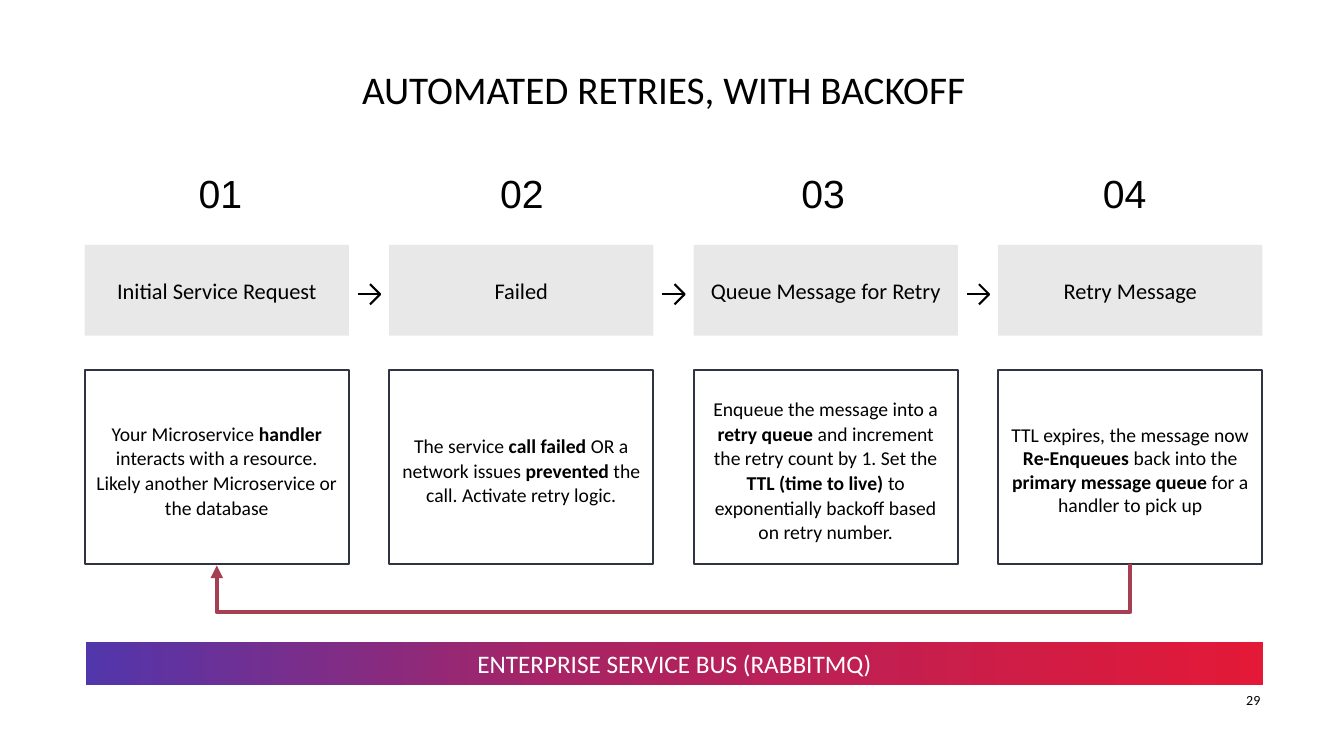
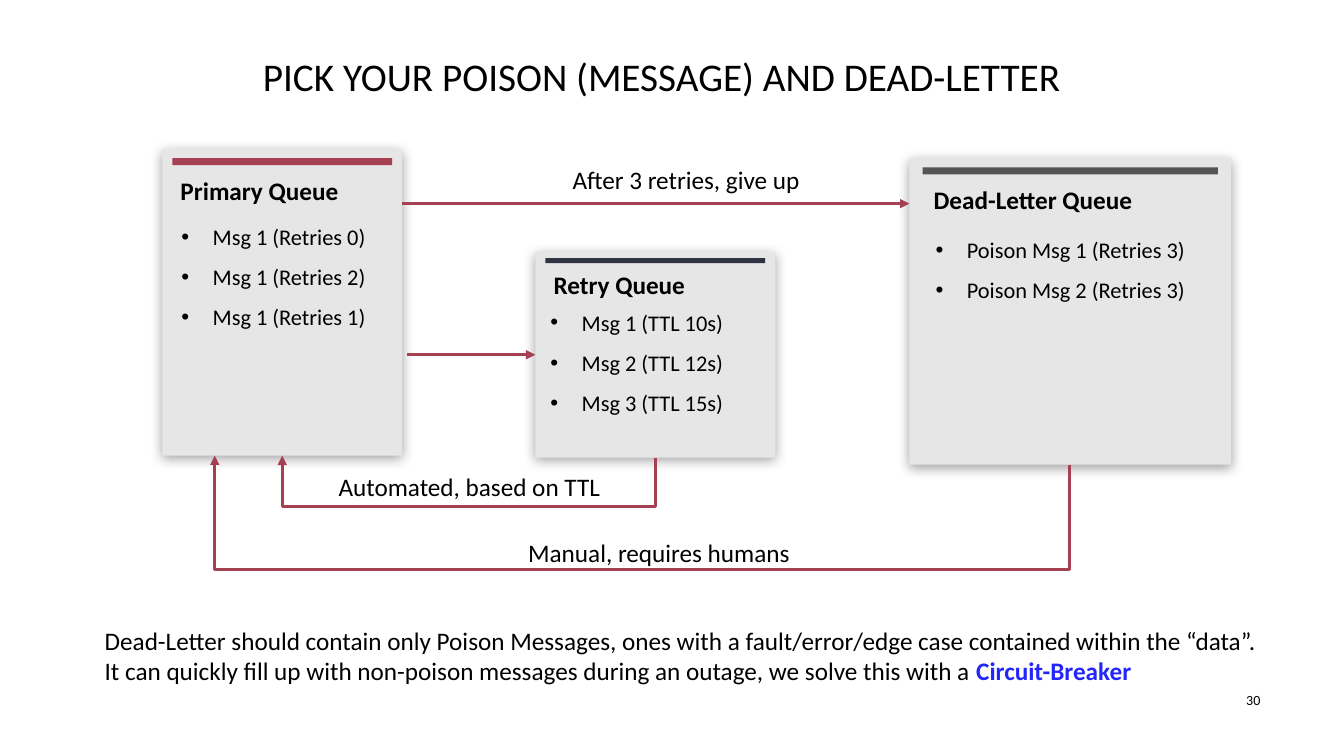
from lxml import etree
from pptx import Presentation
from pptx.dml.color import RGBColor
from pptx.enum.shapes import MSO_CONNECTOR as LINE, MSO_SHAPE as SHAPE
from pptx.enum.text import MSO_ANCHOR as ANCHOR, PP_ALIGN as ALIGN
from pptx.oxml.ns import qn
from pptx.util import Pt

PX = 9144  # 100 px to the inch
BODY_FONT, NUMBER_FONT = "Calibri", "Arial"
BLACK = RGBColor(0x00, 0x00, 0x00)
WHITE = RGBColor(0xFF, 0xFF, 0xFF)
GREY = RGBColor(0xD2, 0xD2, 0xD2)
CARD = RGBColor(0xE7, 0xE6, 0xE6)
NAVY = RGBColor(0x2F, 0x33, 0x42)
MAROON = RGBColor(0xA5, 0x3F, 0x52)
CHARCOAL = RGBColor(0x55, 0x55, 0x55)
LINK = RGBColor(0x22, 0x26, 0xFB)
BUS_GRADIENT = [(0, "5236AB"), (40, "A82465"), (100, "E31937")]

FIRST_NUMBER = 29
RETRY_TITLE = "AUTOMATED RETRIES, WITH BACKOFF"
BUS = "ENTERPRISE SERVICE BUS (RABBITMQ)"
# Heading, line spacing, then text pieces: every second piece is bold
STEPS = [
    ("Initial Service Request", 1.05,
     ["Your Microservice ", "handler",
      " interacts with a resource. Likely another Microservice or the database"]),
    ("Failed", 1.05,
     ["The service ", "call failed ", "OR a network issues ", "prevented",
      " the call. Activate retry logic."]),
    ("Queue Message for Retry", 1.05,
     ["Enqueue the message into a ", "retry queue ",
      "and increment the retry count by 1. Set the ", "TTL (time to live) ",
      "to exponentially backoff based on retry number."]),
    ("Retry Message", 1.0,
     ["TTL expires, the message now ", "Re-Enqueues", " back into the ",
      "primary message queue ", "for a handler to pick up"]),
]

POISON_TITLE = "PICK YOUR POISON (MESSAGE) AND DEAD-LETTER"
# Offsets are measured from the card's top left corner: bar, heading, list
QUEUES = [
    dict(name="Primary Queue", box=(161, 148, 238, 304), color=MAROON,
         bar=(10, 9, 7), heading=(18, 26), list=(19, 60),
         messages=["Msg 1 (Retries 0)", "Msg 1 (Retries 2)", "Msg 1 (Retries 1)"]),
    dict(name="Retry Queue", box=(531, 250, 238, 204), color=NAVY,
         bar=(10, 6, 5), heading=(18, 17), list=(15, 43),
         messages=["Msg 1 (TTL 10s)", "Msg 2 (TTL 12s)", "Msg 3 (TTL 15s)"]),
    dict(name="Dead-Letter Queue", box=(902, 157, 319, 304), color=CHARCOAL,
         bar=(13, 9, 7), heading=(24, 26), list=(26, 64),
         messages=["Poison Msg 1 (Retries 3)", "Poison Msg 2 (Retries 3)"]),
]
FLOW_LABELS = [
    ("After 3 retries, give up", (558, 158, 249, 40)),
    ("Automated, based on TTL", (326, 463, 283, 40)),
    ("Manual, requires humans", (514, 528, 283, 40)),
]
NOTE = [
    ["Dead-Letter should contain only Poison Messages, ones with a "
     "fault/error/edge case contained within the “data”."],
    ["It can quickly fill up with non-poison messages during an outage, "
     "we solve this with a ", "Circuit-Breaker"],
]


def emu(*lengths):
    return [round(length * PX) for length in lengths]


def sub(parent, tag, **attributes):
    return etree.SubElement(parent, qn(tag), attributes)


def write(shape, paragraphs, size, align=ALIGN.LEFT, anchor=ANCHOR.TOP,
          insets=(0, 0, 0, 0), color=BLACK, font=BODY_FONT, bold=None,
          spacing=None, bulleted=False):
    """Fill a shape with paragraphs, each a list of alternating plain and bold pieces."""
    frame = shape.text_frame
    frame.word_wrap = True
    frame.vertical_anchor = anchor
    (frame.margin_left, frame.margin_top,
     frame.margin_right, frame.margin_bottom) = emu(*insets)
    for index, pieces in enumerate(paragraphs):
        para = frame.add_paragraph() if index else frame.paragraphs[0]
        if bulleted:
            props = para._p.get_or_add_pPr()
            props.set("marL", str(31 * PX))
            props.set("indent", str(-31 * PX))
            sub(props, "a:buFont", typeface="Arial")
            sub(props, "a:buChar", char="•")
        for position, piece in enumerate(pieces):
            run = para.add_run()
            run.text = piece
            if position % 2:
                run.font.bold = True
        para.alignment = align
        if spacing:
            para.line_spacing = spacing
        para.font.name, para.font.size, para.font.bold = font, Pt(size), bold
        para.font.color.rgb = color
    return frame


def text_box(slide, box, paragraphs, size, **style):
    return write(slide.shapes.add_textbox(*emu(*box)), paragraphs, size, **style)


def rectangle(slide, box, fill, outline=None):
    rect = slide.shapes.add_shape(SHAPE.RECTANGLE, *emu(*box))
    rect.shadow.inherit = False
    rect.fill.solid()
    rect.fill.fore_color.rgb = fill
    if outline:
        rect.line.color.rgb = outline
        rect.line.width = Pt(1.5)
    else:
        rect.line.fill.background()
    return rect


def style_line(shape, color, width, arrow):
    shape.line.color.rgb = color
    shape.line.width = Pt(width)
    if arrow:
        sub(shape.element.spPr.find(qn("a:ln")), "a:tailEnd", type="triangle")


def straight(slide, start, end, color=MAROON, width=2.25, arrow=True):
    line = slide.shapes.add_connector(LINE.STRAIGHT, *emu(*start, *end))
    style_line(line, color, width, arrow)
    sub(line.element.spPr, "a:effectLst")
    return line


def polyline(slide, points, color=MAROON, width=2.25, arrow=True):
    builder = slide.shapes.build_freeform(*points[0], scale=PX)
    builder.add_line_segments(points[1:], close=False)
    path = builder.convert_to_shape()
    path.shadow.inherit = False
    path.fill.background()
    style_line(path, color, width, arrow)


def loop_back(slide, source, target, drop, width):
    """Join two bottom sides with an elbow that hangs drop px below the source."""
    elbow = slide.shapes.add_connector(LINE.ELBOW, 0, 0, 0, 0)
    elbow.begin_connect(source, 2)
    elbow.end_connect(target, 2)
    x1, y1 = source.left + source.width // 2, source.top + source.height
    x2, y2 = target.left + target.width // 2, target.top + target.height
    rise = (y2 - y1) or PX
    span = x1 - x2
    # A quarter turn makes the elbow leave downwards
    xfrm = elbow.element.spPr.find(qn("a:xfrm"))
    xfrm.attrib.clear()
    xfrm.set("rot", "5400000")
    if rise < 0:
        xfrm.set("flipH", "1")
    elbow.width, elbow.height = abs(rise), span
    elbow.left = (x1 + x2 - abs(rise)) // 2
    elbow.top = y1 + (rise - span) // 2
    geometry = elbow.element.spPr.find(qn("a:prstGeom"))
    adjust = geometry.find(qn("a:avLst"))
    if adjust is None:
        adjust = sub(geometry, "a:avLst")
    sub(adjust, "a:gd", name="adj1", fmla=f"val {round(drop * PX / rise * 100000)}")
    style_line(elbow, MAROON, width, True)
    sub(elbow.element.spPr, "a:effectLst")


def new_slide(deck, title, box):
    """Add a slide with its title and slide number."""
    slide = deck.slides.add_slide(deck.slide_layouts[5])
    heading = slide.shapes.title
    heading.left, heading.top, heading.width, heading.height = emu(*box)
    write(heading, [[title]], 28, ALIGN.CENTER, ANCHOR.MIDDLE, (10, 5, 10, 5))
    number = text_box(slide, (1221, 685, 29, 19), [[]], 10,
                      align=ALIGN.RIGHT, anchor=ANCHOR.MIDDLE)
    field = sub(number.paragraphs[0]._p, "a:fld", type="slidenum",
                id="{B6F15528-21DE-4FAA-801E-634DDDAF4B2B}")
    sub(field, "a:t").text = str(FIRST_NUMBER + len(deck.slides) - 1)
    return slide


def retry_slide(deck):
    slide = new_slide(deck, RETRY_TITLE, (74, 59, 1168, 58))
    bus = rectangle(slide, (85, 637, 1168, 43), MAROON)
    bus.fill.gradient()
    bus.fill.gradient_angle = 0
    stops = bus.element.spPr.find(".//" + qn("a:gsLst"))
    for stop in list(stops):
        stops.remove(stop)
    for percent, color in BUS_GRADIENT:
        sub(sub(stops, "a:gs", pos=str(percent * 1000)), "a:srgbClr", val=color)
    write(bus, [[BUS]], 18, ALIGN.CENTER, ANCHOR.MIDDLE, (7, 0, 7, 0), WHITE)

    details = []
    for index, (heading, spacing, detail) in enumerate(STEPS):
        left = 84 + 302 * index
        text_box(slide, (188 + 299 * index, 173, 61, 42), [[f"{index + 1:02}"]], 28,
                 align=ALIGN.CENTER, anchor=ANCHOR.MIDDLE, font=NUMBER_FONT, spacing=0.9)
        band = rectangle(slide, (left, 243, 262, 90), GREY)
        sub(band.element.spPr.find(".//" + qn("a:srgbClr")), "a:alpha", val="50000")
        write(band, [[heading]], 16, ALIGN.CENTER, ANCHOR.MIDDLE, (10, 10, 10, 10))
        panel = rectangle(slide, (left, 367, 262, 193), WHITE, NAVY)
        write(panel, [detail], 14, ALIGN.CENTER, ANCHOR.MIDDLE, (10, 20, 10, 15),
              spacing=spacing)
        details.append(panel)
        if index:
            tip = left - 9
            straight(slide, (tip - 22, 292), (tip, 292), BLACK, 1.5, False)
            polyline(slide, [(tip - 10, 282), (tip, 292), (tip - 10, 302)],
                     BLACK, 1.5, False)
    loop_back(slide, details[-1], details[0], 48, 3)


def queue_card(slide, queue):
    left, top, width, height = queue["box"]
    card = rectangle(slide, queue["box"], CARD)
    shadow = sub(card.element.spPr.find(qn("a:effectLst")), "a:outerShdw",
                 blurRad=str(Pt(9)), dist=str(Pt(2)), dir="5400000",
                 algn="ctr", rotWithShape="0")
    sub(sub(shadow, "a:srgbClr", val="000000"), "a:alpha", val="36000")
    inset, bar_top, bar_height = queue["bar"]
    rectangle(slide, (left + inset, top + bar_top, width - 2 * inset, bar_height),
              queue["color"])
    dx, dy = queue["heading"]
    text_box(slide, (left + dx, top + dy, width - 29, 30), [[queue["name"]]], 18, bold=True)
    dx, dy = queue["list"]
    messages = [[message] for message in queue["messages"]]
    text_box(slide, (left + dx, top + dy, width - 29, 39 * len(messages)), messages, 16,
             spacing=1.5, bulleted=True)
    return card


def poison_slide(deck):
    slide = new_slide(deck, POISON_TITLE, (72, 46, 1168, 58))
    primary, retry, dead_letter = [queue_card(slide, queue) for queue in QUEUES]
    straight(slide, (404, 352), (531, 352)).end_connect(retry, 1)
    straight(slide, (399, 202), (902, 202))
    loop_back(slide, retry, primary, 48, 2.25)
    polyline(slide, [(1061, 461), (1061, 565), (213, 565), (213, 452)])
    for label, box in FLOW_LABELS:
        text_box(slide, box, [[label]], 18, insets=(10, 5, 10, 5))
    note = text_box(slide, (94, 615, 1177, 71), NOTE, 18, insets=(10, 5, 10, 5))
    note.paragraphs[-1].runs[-1].font.color.rgb = LINK


def main():
    deck = Presentation()
    deck.slide_width, deck.slide_height = emu(1333, 750)
    deck.element.set("firstSlideNum", str(FIRST_NUMBER))
    retry_slide(deck)
    poison_slide(deck)
    deck.save("out.pptx")


if __name__ == "__main__":
    main()
